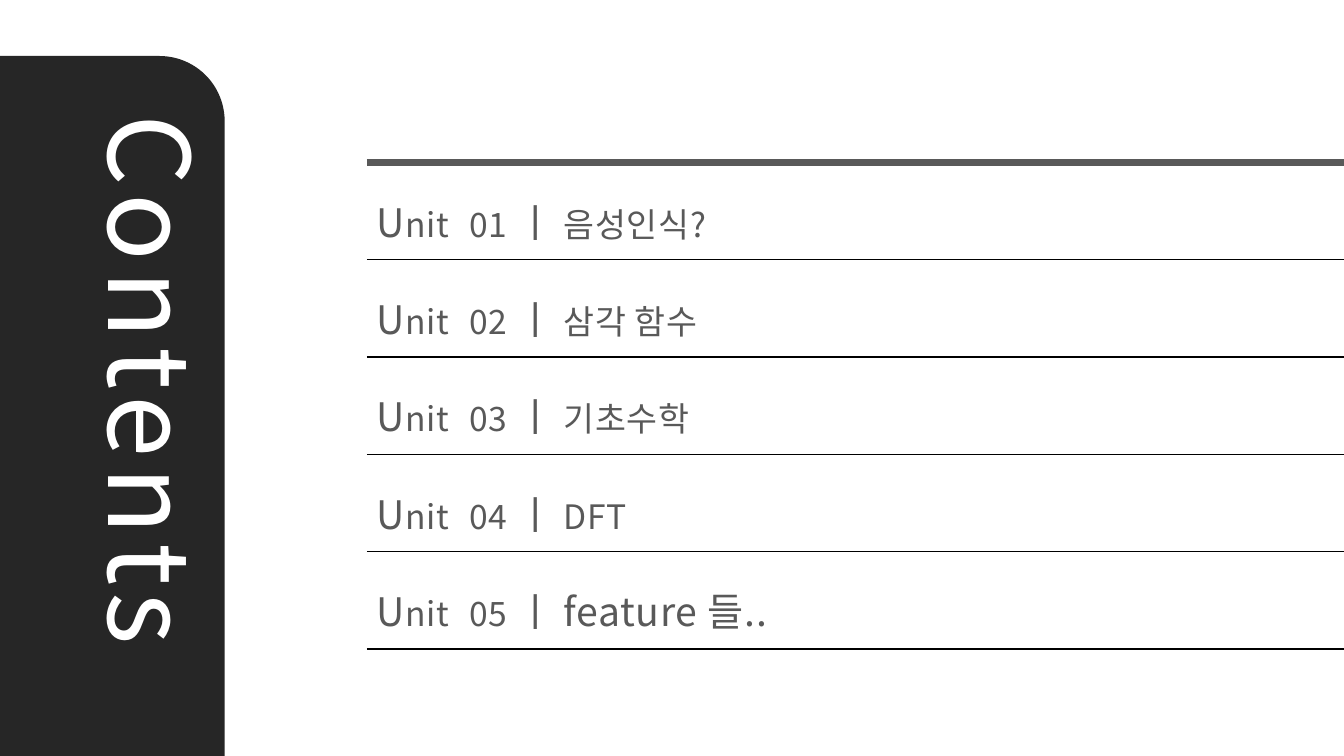
from dataclasses import dataclass

from lxml import etree
from pptx import Presentation
from pptx import util as u
from pptx.dml.color import RGBColor
from pptx.enum import shapes, text
from pptx.oxml.ns import qn

UNITS = ["음성인식?", "삼각 함수", "기초수학", "DFT", "feature 들.."]
WIDTH, HEIGHT = 1920, 1080
LIST_LEFT, LIST_TOP = 524, 232
FIRST_RULE, ROW_PITCH = 371, 139
ROW_WIDTH, ROW_HEIGHT = 1358, 111


@dataclass(frozen=True)
class Theme:
    font: str = "Noto Sans CJK KR"
    panel: str = "262626"
    title: str = "FFFFFF"
    body: str = "595959"
    rule: str = "000000"
    title_size: int = 80
    large: int = 28
    small: int = 24


def px(length):
    return u.Emu(length * 6350)


def add_span(para, words, *, font, size, color, spacing):
    """Append a run; spacing is the gap between letters in points."""
    span = para.add_run()
    span.text = words
    span.font.name = font
    span.font.size = u.Pt(size)
    span.font.color.rgb = RGBColor.from_string(color)
    properties = span.font._element
    properties.set("spc", str(int(spacing * 100)))
    etree.SubElement(properties, qn("a:ea"), typeface=font)


class ContentsSlide:
    def __init__(self, deck, theme):
        self.theme = theme
        self.page = deck.slides.add_slide(deck.slide_layouts[5])
        self.list = self.page.shapes.add_group_shape().shapes

    def panel(self, left, top, width, height):
        """Draw the dark side panel behind the title."""
        box = self.page.shapes.add_shape(
            shapes.MSO_SHAPE.ROUND_1_RECTANGLE,
            px(left), px(top), px(width), px(height))
        box.adjustments[0] = 0.29
        box.shadow.inherit = False
        box.fill.solid()
        box.fill.fore_color.rgb = RGBColor.from_string(self.theme.panel)
        box.line.fill.background()
        self.page.shapes.title._element.addprevious(box._element)

    def title(self, words, left, top, width, height):
        box = self.page.shapes.title
        box.left, box.top, box.width, box.height = map(px, (left, top, width, height))
        box.rotation = 90
        frame = box.text_frame
        frame.word_wrap = True
        frame.auto_size = text.MSO_AUTO_SIZE.SHAPE_TO_FIT_TEXT
        frame.vertical_anchor = text.MSO_ANCHOR.TOP
        para = frame.paragraphs[0]
        para.alignment = text.PP_ALIGN.LEFT
        add_span(para, words, font=self.theme.font, size=self.theme.title_size,
                 color=self.theme.title, spacing=6)

    def rule(self, top, color, weight):
        line = self.list.add_connector(
            shapes.MSO_CONNECTOR.STRAIGHT,
            px(LIST_LEFT), px(top), px(WIDTH), px(top))
        line.line.color.rgb = RGBColor.from_string(color)
        line.line.width = u.Pt(weight)
        etree.SubElement(line._element.spPr, qn("a:effectLst"))

    def unit(self, number, topic, top, topic_size):
        box = self.list.add_textbox(
            px(LIST_LEFT), px(top), px(ROW_WIDTH), px(ROW_HEIGHT))
        frame = box.text_frame
        frame.word_wrap = True
        frame.vertical_anchor = text.MSO_ANCHOR.MIDDLE
        large, small = self.theme.large, self.theme.small
        spans = [("U", large), ("nit", small), ("  ", large),
                 (f"{number:02}", small), (" ㅣ ", large), (topic, topic_size)]
        for words, size in spans:
            add_span(frame.paragraphs[0], words, font=self.theme.font, size=size,
                     color=self.theme.body, spacing=0.5)


def main():
    deck = Presentation()
    deck.slide_width, deck.slide_height = px(WIDTH), px(HEIGHT)
    theme = Theme()
    slide = ContentsSlide(deck, theme)
    slide.panel(0, 80, 321, 1000)
    slide.title("Contents", -285, 546, 1004, 209)
    slide.rule(LIST_TOP, theme.body, 5)
    for index, topic in enumerate(UNITS):
        rule_top = FIRST_RULE + index * ROW_PITCH
        is_last = index == len(UNITS) - 1
        slide.unit(index + 1, topic, rule_top - ROW_HEIGHT + 1,
                   theme.large if is_last else theme.small)
        slide.rule(rule_top, theme.rule, 1)
    deck.save("out.pptx")


if __name__ == "__main__":
    main()
